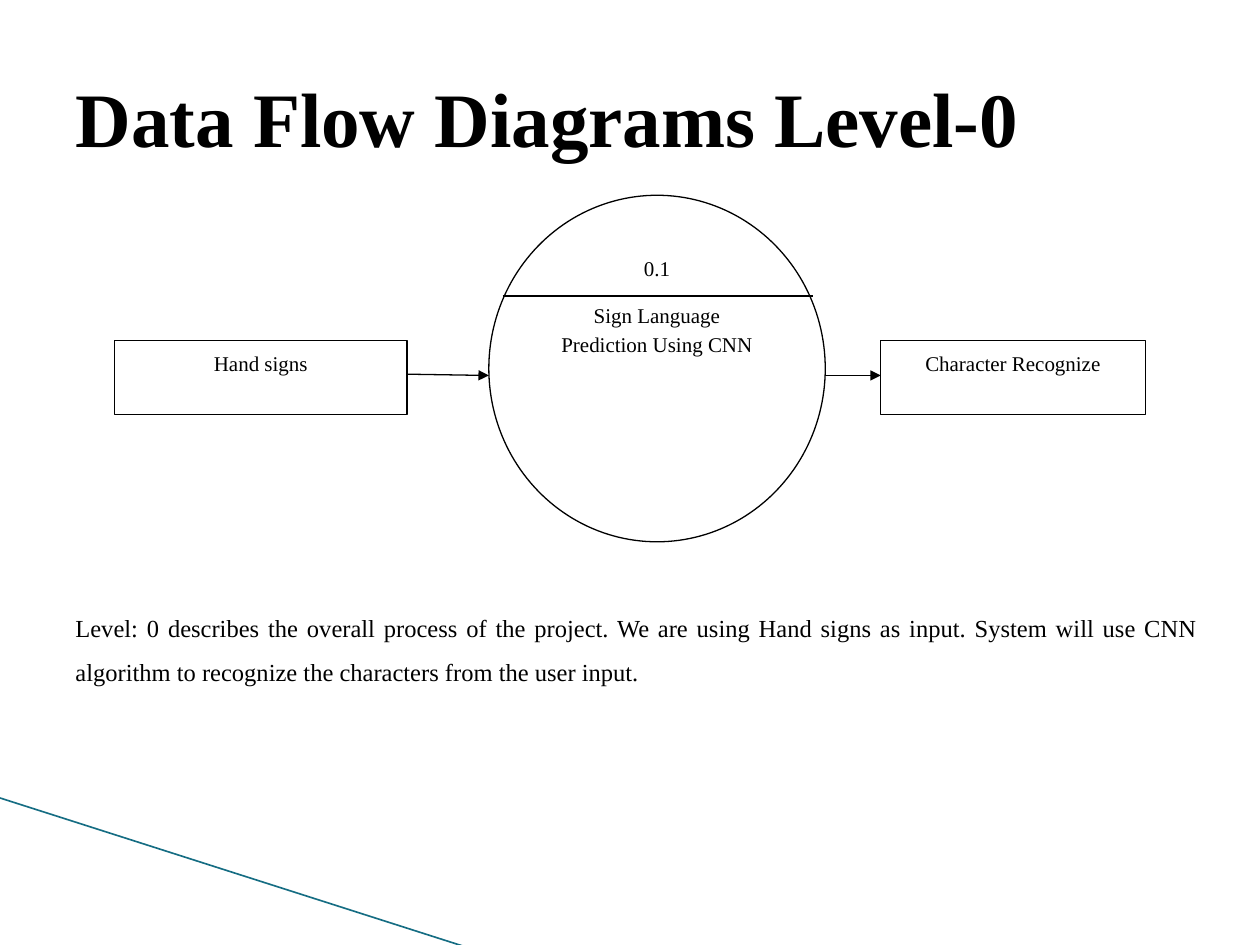
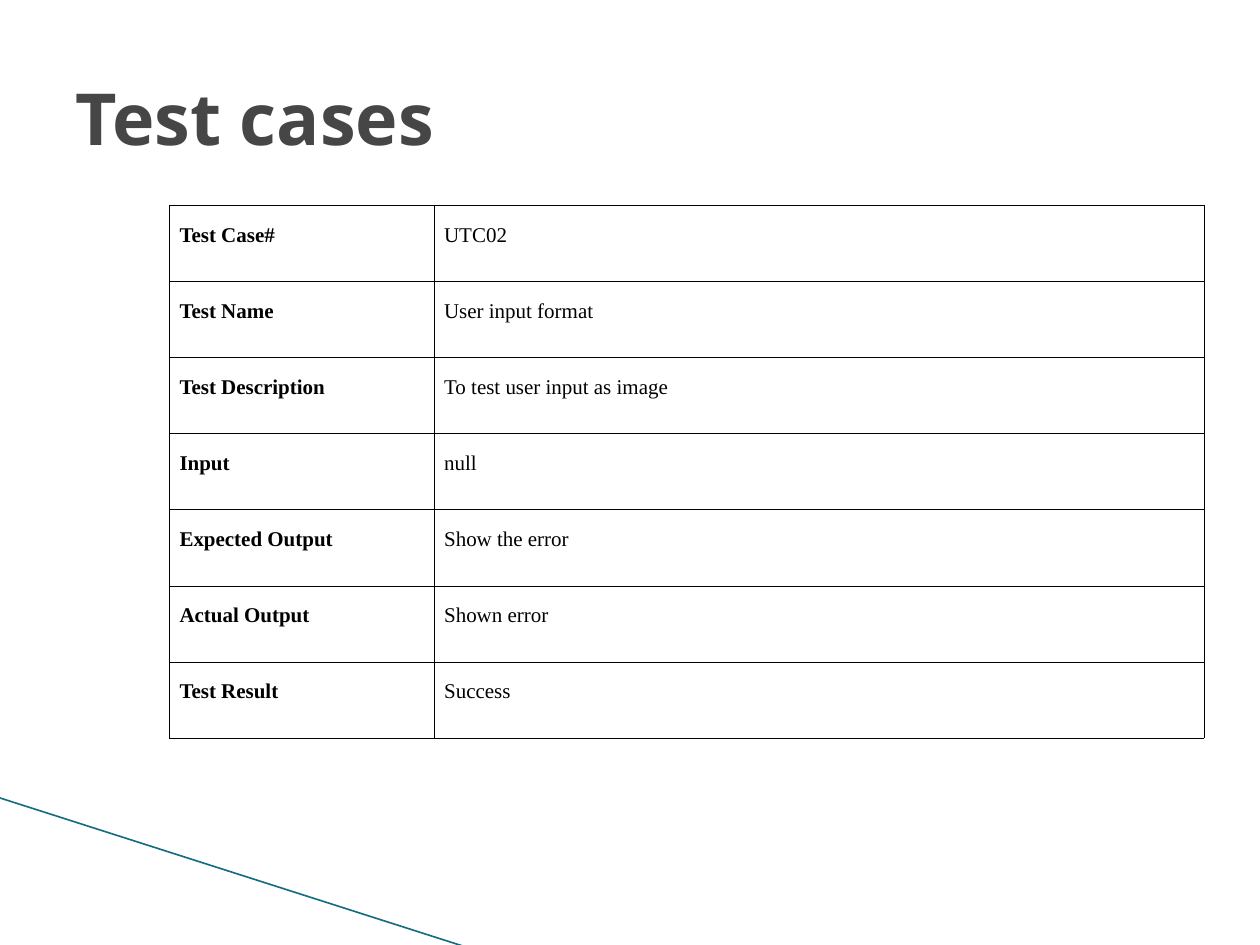
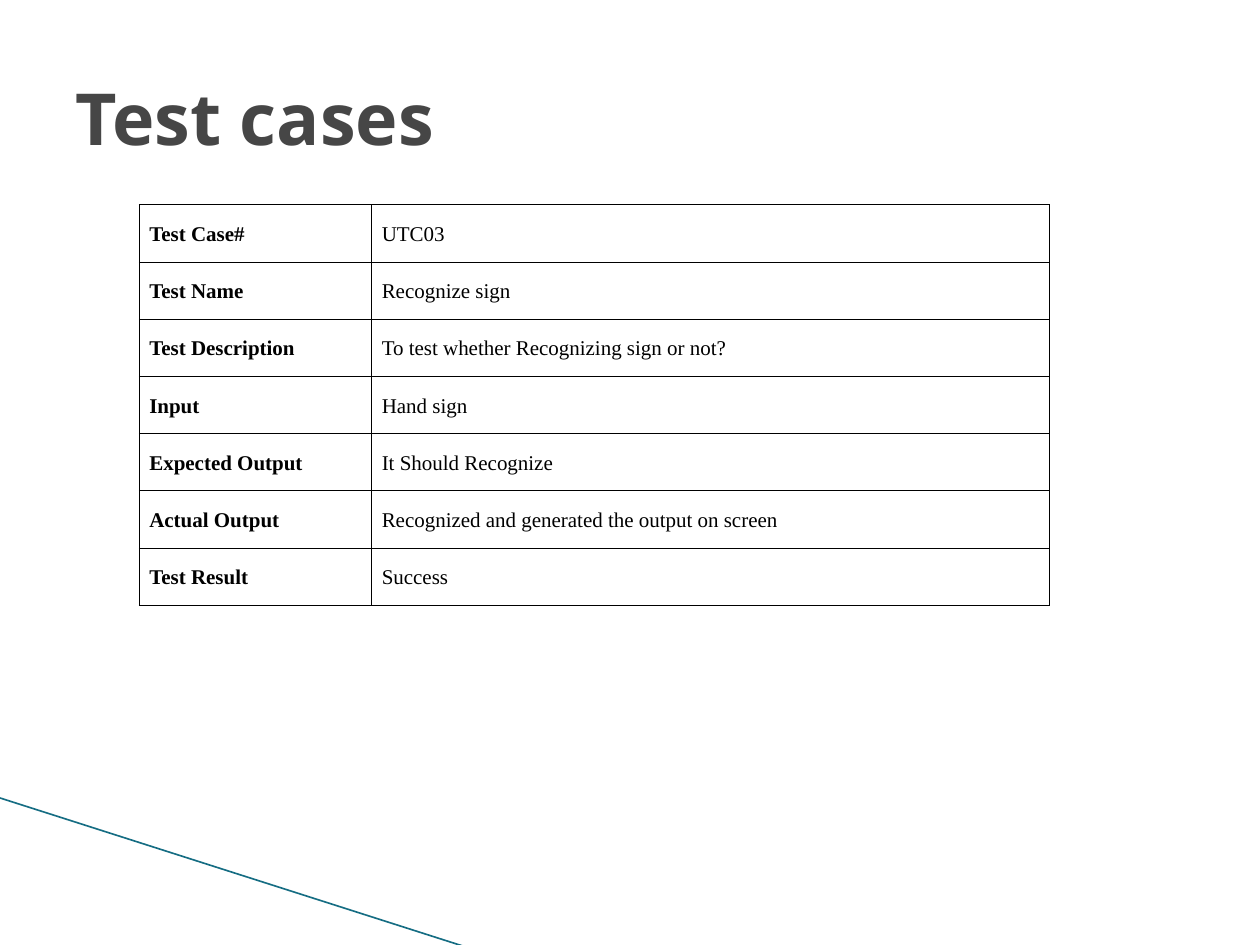
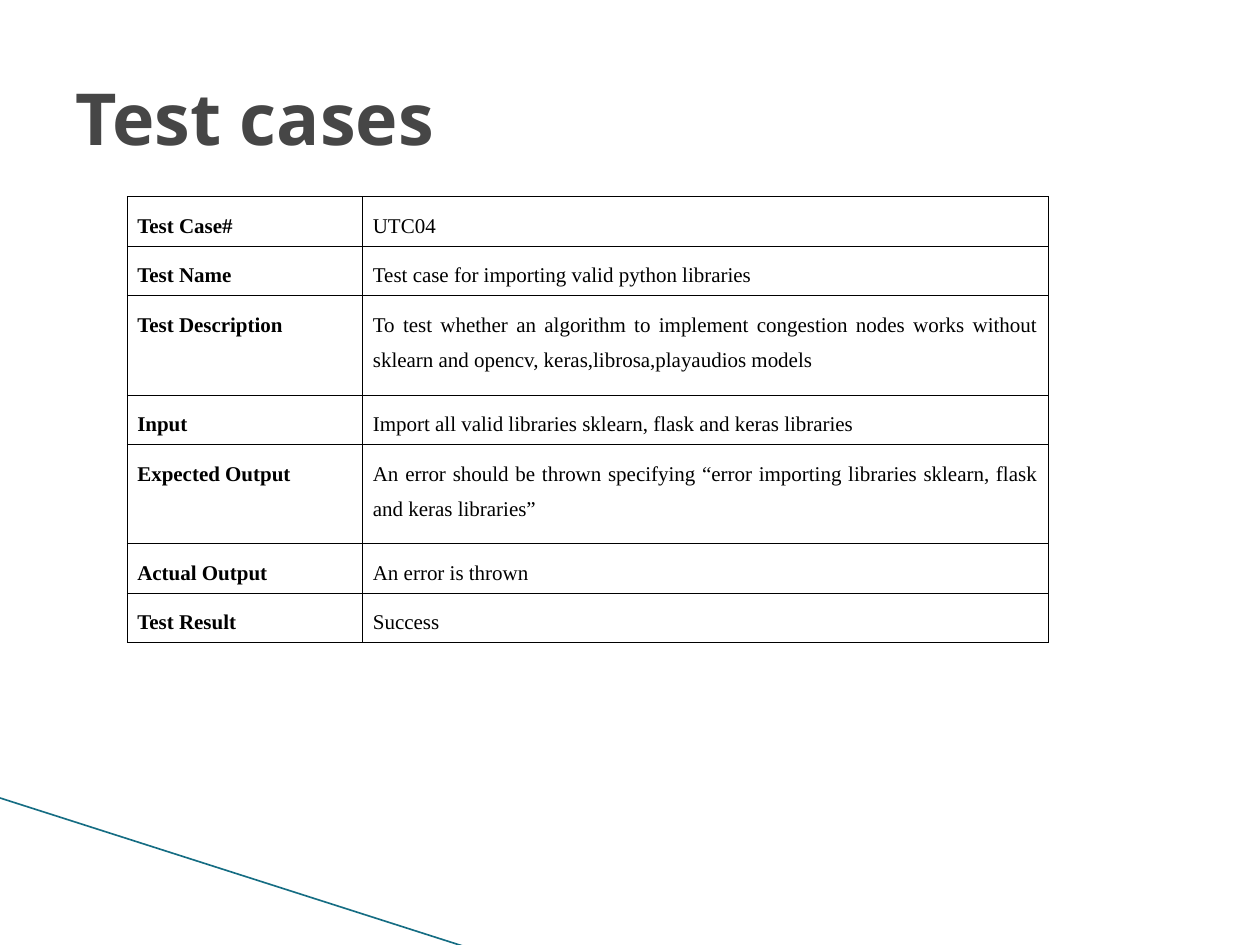
import lxml.etree
import pptx
import pptx.dml.color
import pptx.enum.shapes
import pptx.enum.text
import pptx.oxml
import pptx.oxml.ns
import pptx.util

BLACK = pptx.dml.color.RGBColor(0x00, 0x00, 0x00)
WHITE = pptx.dml.color.RGBColor(0xFF, 0xFF, 0xFF)
GRAY = pptx.dml.color.RGBColor(0x46, 0x46, 0x46)
TEAL = pptx.dml.color.RGBColor(0x15, 0x6D, 0x83)
SERIF = "Times New Roman"
SANS = "Noto Sans"
ALIGN = pptx.enum.text.PP_ALIGN
SHAPE = pptx.enum.shapes.MSO_SHAPE
STRAIGHT = pptx.enum.shapes.MSO_CONNECTOR.STRAIGHT

deck = pptx.Presentation()
deck.slide_width = pptx.util.Inches(10)
deck.slide_height = pptx.util.Inches(7.5)
title_only = deck.slide_layouts[5]

# Grid of 100 columns by 75 rows
COLUMN = deck.slide_width // 100
ROW = deck.slide_height // 75


def write(frame, lines, align, spacing, size=12, bold=False):
    """Fill a text frame with body paragraphs."""
    frame.word_wrap = True
    frame.text = "\n".join(lines)
    for paragraph in frame.paragraphs:
        paragraph.alignment = align
        paragraph.line_spacing = spacing
        paragraph.space_after = pptx.util.Pt(10)
        paragraph.font.size = pptx.util.Pt(size)
        paragraph.font.name = SERIF
        paragraph.font.bold = bold
        paragraph.font.color.rgb = BLACK


def draw_line(shapes, ends, color=BLACK, width=0.75, arrow=False):
    """Draw a straight line between two grid points."""
    x1, y1, x2, y2 = ends
    line = shapes.add_connector(STRAIGHT, round(x1 * COLUMN), round(y1 * ROW),
                                round(x2 * COLUMN), round(y2 * ROW))
    line.line.color.rgb = color
    line.line.width = pptx.util.Pt(width)
    if arrow:
        lxml.etree.SubElement(line.line._get_or_add_ln(),
                              pptx.oxml.ns.qn("a:tailEnd"), type="triangle")
    lxml.etree.SubElement(line.element.spPr, pptx.oxml.ns.qn("a:effectLst"))
    return line


# Slides and their titles
TITLES = [("Data Flow Diagrams Level-0", SERIF, 44, BLACK)]
TITLES += [("Test cases", SANS, 41, GRAY)] * 3
for heading, font_name, size, color in TITLES:
    title = deck.slides.add_slide(title_only).shapes.title
    title.left, title.top = 5 * COLUMN, 3 * ROW
    title.width, title.height = 90 * COLUMN, round(12.5 * ROW)
    title.text_frame.text = heading
    title.text_frame.vertical_anchor = pptx.enum.text.MSO_ANCHOR.MIDDLE
    paragraph = title.text_frame.paragraphs[0]
    paragraph.alignment = ALIGN.LEFT
    paragraph.font.name = font_name
    paragraph.font.size = pptx.util.Pt(size)
    paragraph.font.bold = True
    paragraph.font.color.rgb = color

# Corner line, moved to the master so that every slide shows it
flow_slide, *case_slides = deck.slides
corner = draw_line(flow_slide.shapes, (-0.1, 63.3, 37.1, 75.2), TEAL, 0.94)
corner.element.nvCxnSpPr.cNvPr.set("id", "20")
deck.slide_master.shapes.element.append(corner.element)

# Data flow diagram: input, process, output
diagram = flow_slide.shapes.add_group_shape().shapes
NODES = [
    (SHAPE.OVAL, (38.8, 15.5, 26.7, 27.5),
     ["0.1", "Sign Language Prediction Using CNN"]),
    (SHAPE.RECTANGLE, (9.1, 27, 23.2, 5.9), ["Hand signs"]),
    (SHAPE.RECTANGLE, (69.9, 27, 21, 5.9), ["Character Recognize"]),
]
for outline, (left, top, width, height), lines in NODES:
    node = diagram.add_shape(outline, round(left * COLUMN), round(top * ROW),
                             round(width * COLUMN), round(height * ROW))
    node.shadow.inherit = False
    node.fill.solid()
    node.fill.fore_color.rgb = WHITE
    node.line.color.rgb = BLACK
    node.line.width = pptx.util.Pt(0.75)
    node.text_frame.vertical_anchor = pptx.enum.text.MSO_ANCHOR.TOP
    write(node.text_frame, lines, ALIGN.CENTER, 1.15)

draw_line(diagram, (39.9, 23.5, 64.5, 23.5))
draw_line(diagram, (32.3, 29.7, 38.8, 29.8), arrow=True)
draw_line(diagram, (65.5, 29.8, 69.9, 29.8), arrow=True)

# Explanation below the diagram
explanation = flow_slide.shapes.add_textbox(
    5 * COLUMN, 47 * ROW, round(91.1 * COLUMN), 8 * ROW)
write(explanation.text_frame,
      ["Level: 0 describes the overall process of the project. We are using "
       "Hand signs as input. System will use CNN algorithm to recognize the "
       "characters from the user input."],
      ALIGN.JUSTIFY, 1.5, size=14)

# Test case tables: left, top, column widths, row heights, values
FIELDS = ["Test Case#", "Test Name", "Test Description", "Input",
          "Expected Output", "Actual Output", "Test Result"]
CASES = [
    (13.45, 16.3, (21, 61.1), [6.04] * 7,
     ["UTC02", "User input format", "To test user input as image", "null",
      "Show the error", "Shown error", "Success"]),
    (11.05, 16.25, (18.45, 53.8), [4.54] * 7,
     ["UTC03", "Recognize sign", "To test whether Recognizing sign or not?",
      "Hand sign", "It Should Recognize",
      "Recognized and generated the output on screen", "Success"]),
    (10.1, 15.6, (18.7, 54.4), [3.94, 3.94, 7.87, 3.94, 7.87, 3.94, 3.94],
     ["UTC04", "Test case for importing valid python libraries",
      "To test whether an algorithm to implement congestion nodes works "
      "without sklearn and opencv, keras,librosa,playaudios models",
      "Import all valid libraries sklearn, flask and keras libraries",
      "An error should be thrown specifying “error importing libraries "
      "sklearn, flask and keras libraries”",
      "An error is thrown", "Success"]),
]
BORDER = ('<a:{side} xmlns:a="http://schemas.openxmlformats.org/drawingml/2006/main"'
          ' w="5715"><a:solidFill><a:srgbClr val="{color}"/></a:solidFill></a:{side}>')

for slide, (left, top, widths, heights, values) in zip(case_slides, CASES):
    case_table = slide.shapes.add_table(
        len(FIELDS), 2, round(left * COLUMN), round(top * ROW),
        round(sum(widths) * COLUMN), round(sum(heights) * ROW)).table
    case_table.first_row = False
    case_table.horz_banding = False
    for column, width in zip(case_table.columns, widths):
        column.width = round(width * COLUMN)
    for row, height, entry in zip(case_table.rows, heights, zip(FIELDS, values)):
        row.height = round(height * ROW)
        for position, (cell, content) in enumerate(zip(row.cells, entry)):
            write(cell.text_frame, [content], ALIGN.JUSTIFY, 1.5,
                  bold=position == 0)
            cell.margin_left = cell.margin_right = pptx.util.Inches(0.08)
            for side in ("lnL", "lnR", "lnT", "lnB"):
                cell._tc.get_or_add_tcPr().append(
                    pptx.oxml.parse_xml(BORDER.format(side=side, color=BLACK)))
            cell.fill.background()

deck.save("out.pptx")
